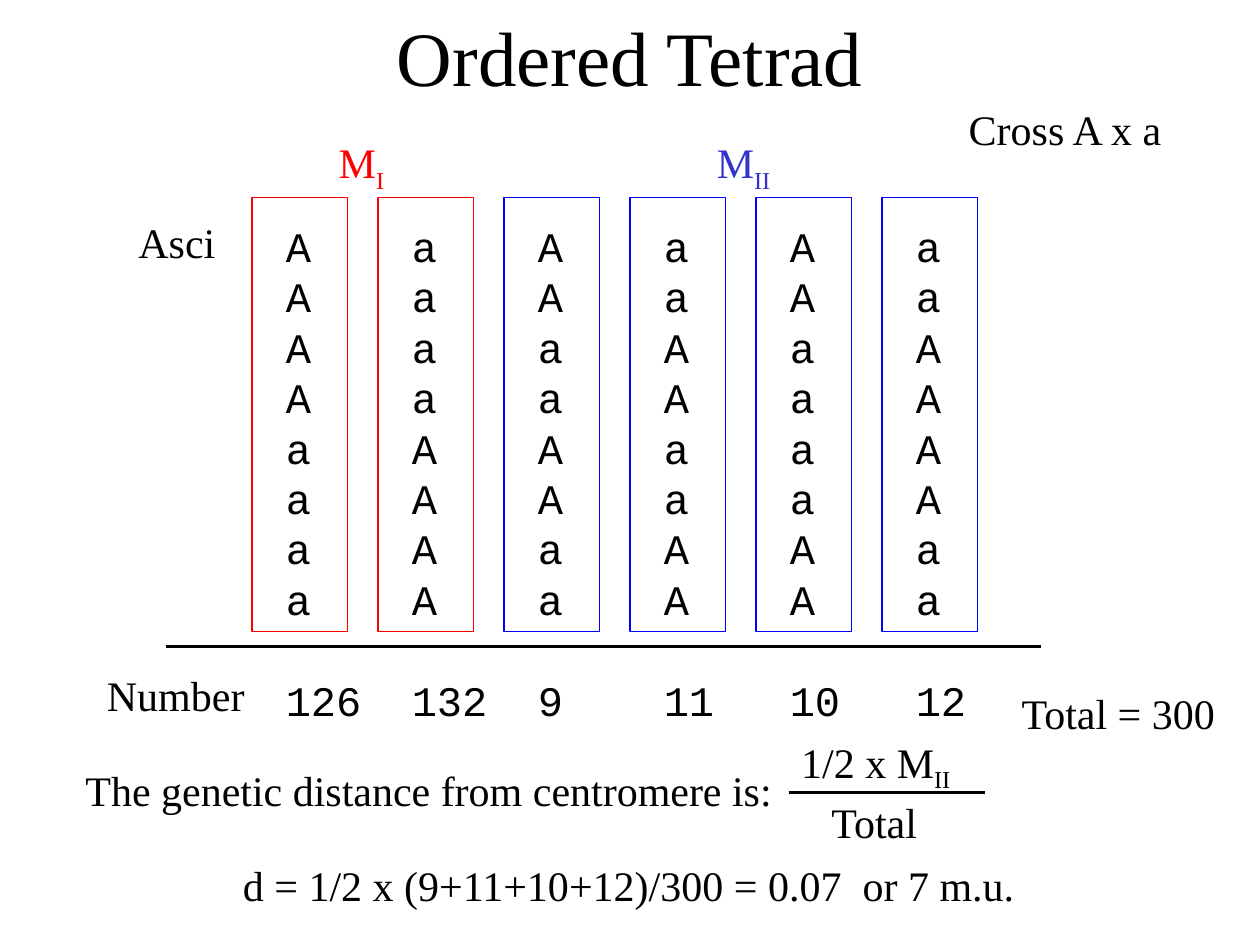
from dataclasses import dataclass

from lxml import etree
from pptx import Presentation
from pptx.dml.color import RGBColor
from pptx.enum.shapes import MSO_CONNECTOR, MSO_SHAPE
from pptx.enum.text import MSO_ANCHOR, MSO_AUTO_SIZE, PP_ALIGN
from pptx.oxml.ns import qn
from pptx.util import Inches, Pt

RECTANGLE = MSO_SHAPE.RECTANGLE
STRAIGHT = MSO_CONNECTOR.STRAIGHT
TITLE_ONLY = 5
COLUMN_LEFT, COLUMN_PITCH = 2, 1
ASCUS_TOP, ASCUS_WIDTH, ASCUS_HEIGHT = 1.57, 0.76, 3.44


@dataclass(frozen=True)
class Theme:
    serif: str = "Times New Roman"
    mono: str = "Courier New"
    black: str = "000000"
    first_division: str = "FF0000"
    second_division: str = "0000FF"
    second_label: str = "3333CC"
    title_size: float = 44
    body_size: float = 24
    line_pitch: float = 28.8
    rule_width: float = 2
    frame_width: float = 0.75


THEME = Theme()


@dataclass(frozen=True)
class Label:
    text: str
    left: float
    top: float
    width: float
    height: float = 0.5
    subscript: str = ""
    color: str = THEME.black


@dataclass(frozen=True)
class Ascus:
    spores: str
    count: int
    color: str = THEME.second_division


@dataclass(frozen=True)
class Rule:
    left: float
    right: float
    top: float


ASCI = [
    Ascus("AAAAaaaa", 126, THEME.first_division),
    Ascus("aaaaAAAA", 132, THEME.first_division),
    Ascus("AAaaAAaa", 9),
    Ascus("aaAAaaAA", 11),
    Ascus("AAaaaaAA", 10),
    Ascus("aaAAAAaa", 12),
]

LABELS = [
    Label("Cross A x a", 7.59, 0.75, 1.76),
    Label("Asci", 1, 1.65, 0.81),
    Label("Number", 0.75, 5.24, 1.29),
    Label("Total = 300", 8.01, 5.39, 1.76),
    Label("M", 2.59, 1.07, 0.56, 0.56, "I", THEME.first_division),
    Label("M", 5.59, 1.07, 0.62, 0.56, "II", THEME.second_label),
    Label("The genetic distance from centromere is:", 0.58, 6, 5.65),
    Label("1/2 x M", 6.26, 5.83, 1.38, 0.56, "II"),
    Label("Total", 6.5, 6.25, 0.9),
    Label("d = 1/2 x (9+11+10+12)/300 = 0.07  or 7 m.u.", 1.83, 6.75, 6.34, 0.9),
]

RULES = [Rule(1.32, 8.26, 5.13), Rule(6.26, 7.82, 6.29)]


def apply_format(target, values: dict) -> None:
    for name, value in values.items():
        setattr(target, name, value)


def add_run(paragraph, text: str, font_name: str, size: float, color: str):
    run = paragraph.add_run()
    run.text = text
    apply_format(run.font, {"name": font_name, "size": Pt(size)})
    run.font.color.rgb = RGBColor.from_string(color)
    return run


def add_text_frame(slide, left: float, top: float, width: float, height: float, inset_top: float):
    box = slide.shapes.add_textbox(*map(Inches, (left, top, width, height)))
    apply_format(box.text_frame, {
        "word_wrap": False,
        "auto_size": MSO_AUTO_SIZE.NONE,
        "vertical_anchor": MSO_ANCHOR.TOP,
        "margin_top": Inches(inset_top),
    })
    return box.text_frame


def add_title(slide, text: str) -> None:
    title = slide.shapes.title
    bounds = {"left": 0.75, "top": -0.18, "width": 8.5, "height": 1.25}
    apply_format(title, {name: Inches(value) for name, value in bounds.items()})
    apply_format(title.text_frame, {
        "vertical_anchor": MSO_ANCHOR.MIDDLE, "auto_size": MSO_AUTO_SIZE.NONE,
    })
    paragraph = title.text_frame.paragraphs[0]
    paragraph.alignment = PP_ALIGN.CENTER
    add_run(paragraph, text, THEME.serif, THEME.title_size, THEME.black)


def add_label(slide, label: Label) -> None:
    frame = add_text_frame(slide, label.left, label.top, label.width, label.height, 0.07)
    paragraph = frame.paragraphs[0]
    paragraph.line_spacing = Pt(THEME.line_pitch)
    add_run(paragraph, label.text, THEME.serif, THEME.body_size, label.color)
    if label.subscript:
        run = add_run(paragraph, label.subscript, THEME.serif, THEME.body_size, label.color)
        run._r.get_or_add_rPr().set("baseline", "-25000")


def add_tab_stops(paragraph) -> None:
    tabs = etree.SubElement(paragraph._p.get_or_add_pPr(), qn("a:tabLst"))
    for column in range(1, len(ASCI)):
        position = Inches(column * COLUMN_PITCH)
        etree.SubElement(tabs, qn("a:tab"), pos=str(position), algn="l")


def add_spore_grid(slide) -> None:
    """Write the spores row by row, then the counts one line further down."""
    frame = add_text_frame(slide, 2.17, 1.65, 5.6, 4.1, 0.1)
    rows = list(zip(*(ascus.spores for ascus in ASCI)))
    rows.append([str(ascus.count) for ascus in ASCI])
    for index, row in enumerate(rows):
        paragraph = frame.add_paragraph() if index else frame.paragraphs[0]
        add_tab_stops(paragraph)
        paragraph.line_spacing = Pt(THEME.line_pitch)
        add_run(paragraph, "\t".join(row), THEME.mono, THEME.body_size, THEME.black)
    paragraph.space_before = Pt(THEME.line_pitch)


def add_ascus_frame(slide, column: int, ascus: Ascus) -> None:
    left = COLUMN_LEFT + column * COLUMN_PITCH
    bounds = (left, ASCUS_TOP, ASCUS_WIDTH, ASCUS_HEIGHT)
    shape = slide.shapes.add_shape(RECTANGLE, *map(Inches, bounds))
    shape.shadow.inherit = False
    shape.fill.background()
    shape.line.color.rgb = RGBColor.from_string(ascus.color)
    shape.line.width = Pt(THEME.frame_width)


def add_rule(slide, rule: Rule) -> None:
    ends = (rule.left, rule.top, rule.right, rule.top)
    connector = slide.shapes.add_connector(STRAIGHT, *map(Inches, ends))
    connector.line.color.rgb = RGBColor.from_string(THEME.black)
    connector.line.width = Pt(THEME.rule_width)
    etree.SubElement(connector._element.spPr, qn("a:effectLst"))


def main() -> None:
    presentation = Presentation()
    presentation.slide_width, presentation.slide_height = Inches(10), Inches(7.5)
    slide = presentation.slides.add_slide(presentation.slide_layouts[TITLE_ONLY])
    add_title(slide, "Ordered Tetrad")
    add_spore_grid(slide)
    for column, ascus in enumerate(ASCI):
        add_ascus_frame(slide, column, ascus)
    for label in LABELS:
        add_label(slide, label)
    for rule in RULES:
        add_rule(slide, rule)
    presentation.save("out.pptx")


if __name__ == "__main__":
    main()
